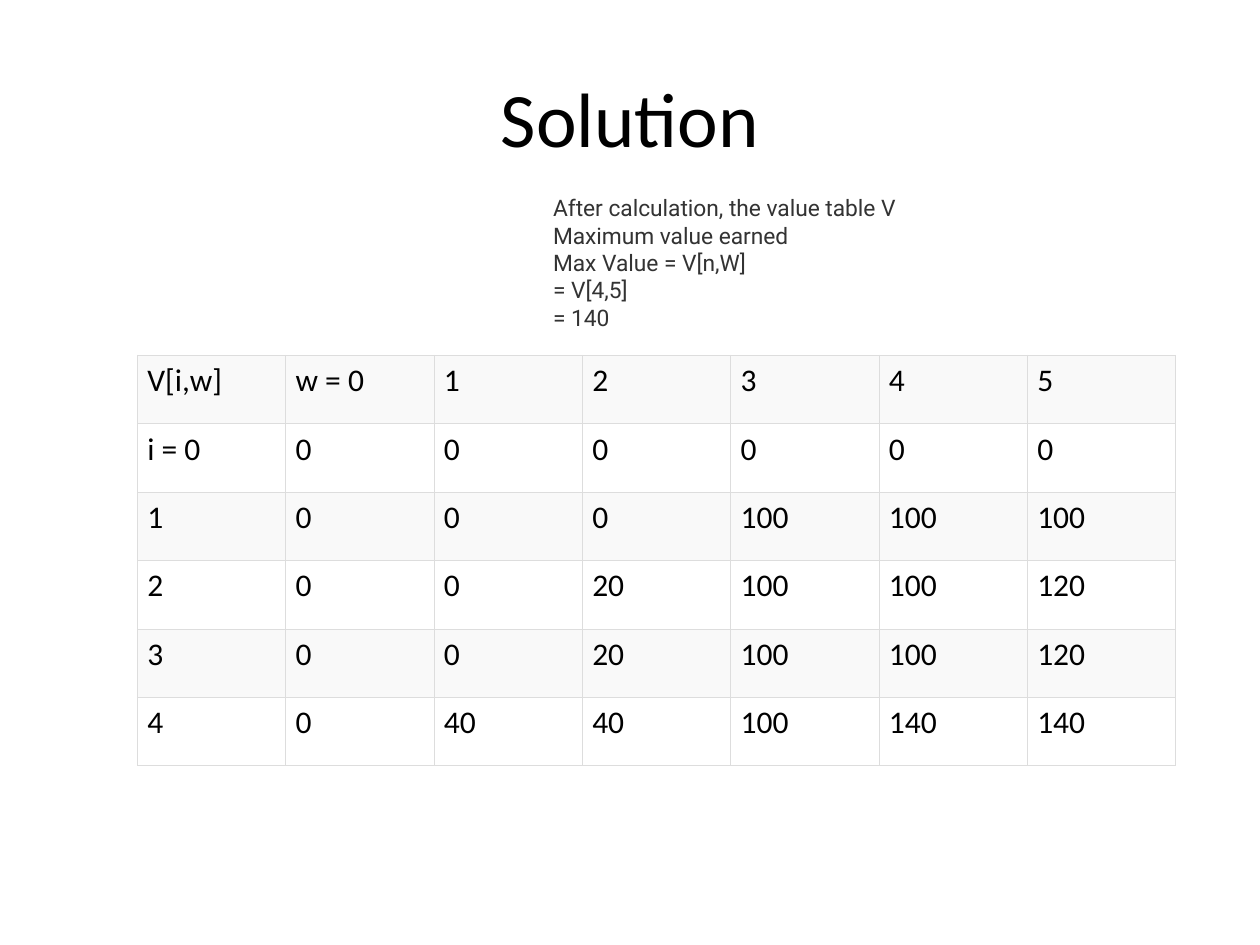
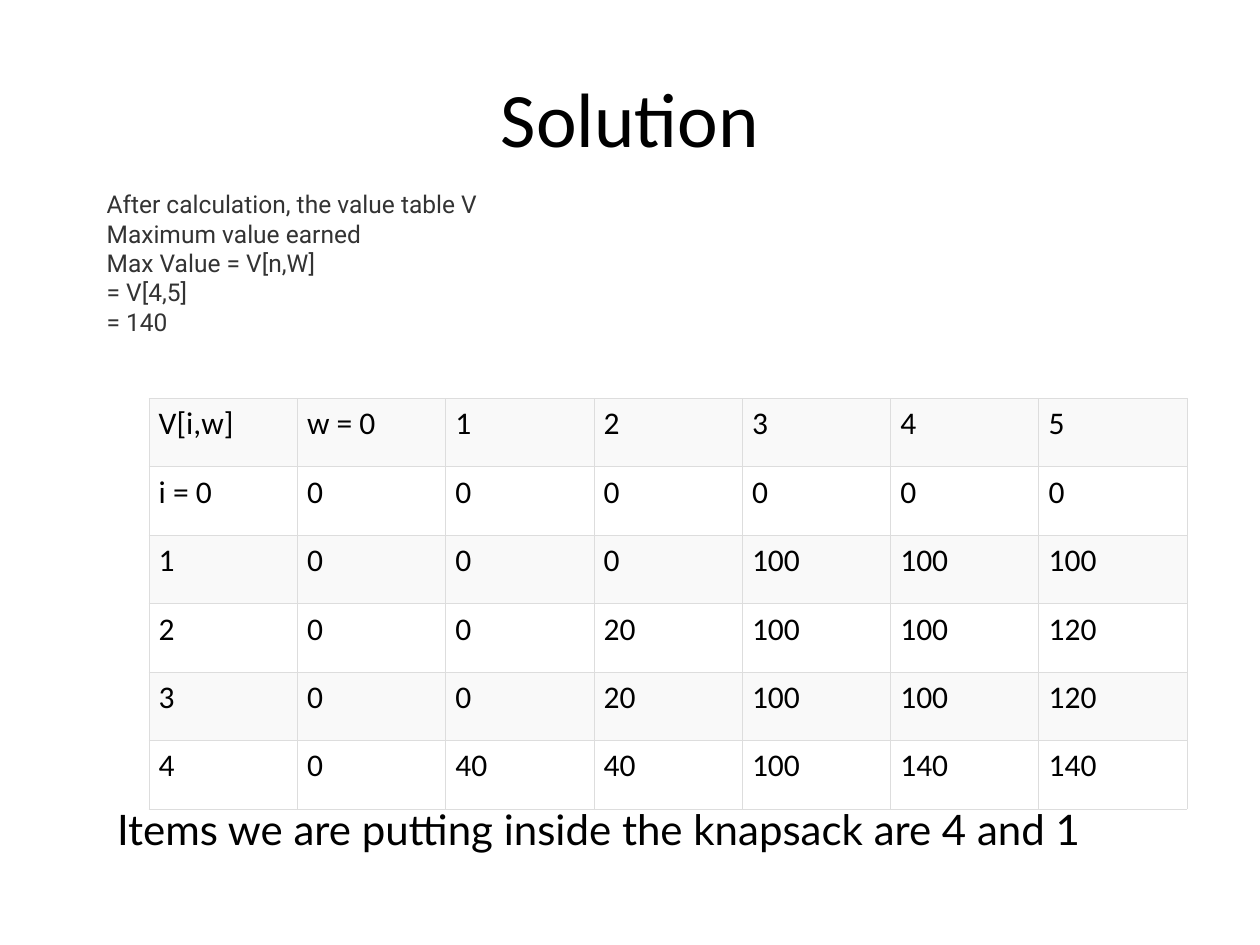
from copy import deepcopy
from dataclasses import dataclass

from lxml.etree import SubElement
from pptx import Presentation
from pptx.dml.color import RGBColor
from pptx.enum.text import MSO_ANCHOR, MSO_AUTO_SIZE, PP_ALIGN
from pptx.oxml.ns import qn
from pptx.util import Cm, Pt

# Shared colours
INK, GREY, RULE, BAND = "000000", "333333", "DDDDDD", "F9F9F9"

# Shared table values: weight across, item down
GRID = [
    ["V[i,w]", "w = 0", 1, 2, 3, 4, 5],
    ["i = 0", 0, 0, 0, 0, 0, 0],
    [1, 0, 0, 0, 100, 100, 100],
    [2, 0, 0, 20, 100, 100, 120],
    [3, 0, 0, 20, 100, 100, 120],
    [4, 0, 40, 40, 100, 140, 140],
]
COL, ROW = 2.99, 1.38
RESULT = (
    "After calculation, the value table V",
    "Maximum value earned\nMax Value = V[n,W]\n= V[4,5]\n= 140",
)


@dataclass(frozen=True)
class Note:
    """A text box; lengths are in centimetres, size in points."""
    left: float
    top: float
    width: float
    height: float
    lines: tuple
    size: float
    face: str = "Calibri"
    ink: str = INK
    align: PP_ALIGN = PP_ALIGN.LEFT
    anchor: MSO_ANCHOR = MSO_ANCHOR.MIDDLE
    wrap: bool = True
    fit: MSO_AUTO_SIZE = MSO_AUTO_SIZE.SHAPE_TO_FIT_TEXT


@dataclass(frozen=True)
class Page:
    left: float
    top: float
    notes: tuple


TITLE = Note(1.27, 0.76, 22.86, 3.18, ("Solution",), 44,
             align=PP_ALIGN.CENTER, fit=MSO_AUTO_SIZE.NONE)
PAGES = [
    Page(2.77, 7.16, (
        Note(10.9, 3.78, 7.42, 3.02, RESULT, 13, "Roboto", GREY, wrap=False),
    )),
    Page(3.0, 8.03, (
        Note(1.9, 3.68, 13.54, 3.23, RESULT, 14, "Roboto", GREY),
        Note(2.11, 16.08, 21.16, 2.29,
             ("Items we are putting inside the knapsack are 4 and 1",),
             24, "Lato", anchor=MSO_ANCHOR.TOP),
    )),
]


def tint(code: str) -> RGBColor:
    return RGBColor.from_string(code)


def apply(target, style: dict) -> None:
    for name, value in style.items():
        setattr(target, name, value)


def write(para, text: str, size: float, face: str, ink: str) -> None:
    para.text = text
    for run in para.runs:
        apply(run.font, {"size": Pt(size), "name": face})
        run.font.color.rgb = tint(ink)
    # Line breaks take the format of the text around them
    for gap in para._p.findall(qn("a:br")):
        gap.append(deepcopy(para.runs[0]._r.rPr))


def add_note(slide, note: Note) -> None:
    box = slide.shapes.add_textbox(Cm(note.left), Cm(note.top),
                                   Cm(note.width), Cm(note.height))
    frame = box.text_frame
    apply(frame, {"word_wrap": note.wrap, "auto_size": note.fit,
                  "vertical_anchor": note.anchor})
    for num, text in enumerate(note.lines):
        para = frame.add_paragraph() if num else frame.paragraphs[0]
        para.alignment = note.align
        write(para, text, note.size, note.face, note.ink)


def add_rules(cell) -> None:
    props = cell._tc.get_or_add_tcPr()
    for side in ("L", "R", "T", "B"):
        line = SubElement(props, qn(f"a:ln{side}"), w=str(Pt(0.34)))
        fill = SubElement(line, qn("a:solidFill"))
        SubElement(fill, qn("a:srgbClr"), val=RULE)


def add_grid(slide, left: float, top: float) -> None:
    rows, cols = len(GRID), len(GRID[0])
    table = slide.shapes.add_table(rows, cols, Cm(left), Cm(top),
                                   Cm(COL * cols), Cm(ROW * rows)).table
    apply(table, {"first_row": False, "horz_banding": False})
    for col in table.columns:
        col.width = Cm(COL)
    for row, values in enumerate(GRID):
        table.rows[row].height = Cm(ROW)
        for col, value in enumerate(values):
            cell = table.cell(row, col)
            apply(cell, {"margin_left": Cm(0.2), "margin_right": Cm(0.2),
                         "margin_top": Cm(0.13), "margin_bottom": Cm(0.13)})
            add_rules(cell)
            # Every other row is shaded
            if row % 2:
                cell.fill.background()
            else:
                cell.fill.solid()
                cell.fill.fore_color.rgb = tint(BAND)
            write(cell.text_frame.paragraphs[0], str(value), 18, "Calibri", INK)


def main() -> None:
    deck = Presentation()
    apply(deck, {"slide_width": Cm(25.4), "slide_height": Cm(19.05)})
    for page in PAGES:
        slide = deck.slides.add_slide(deck.slide_layouts[6])
        add_note(slide, TITLE)
        add_grid(slide, page.left, page.top)
        for note in page.notes:
            add_note(slide, note)
    deck.save("out.pptx")


if __name__ == "__main__":
    main()
